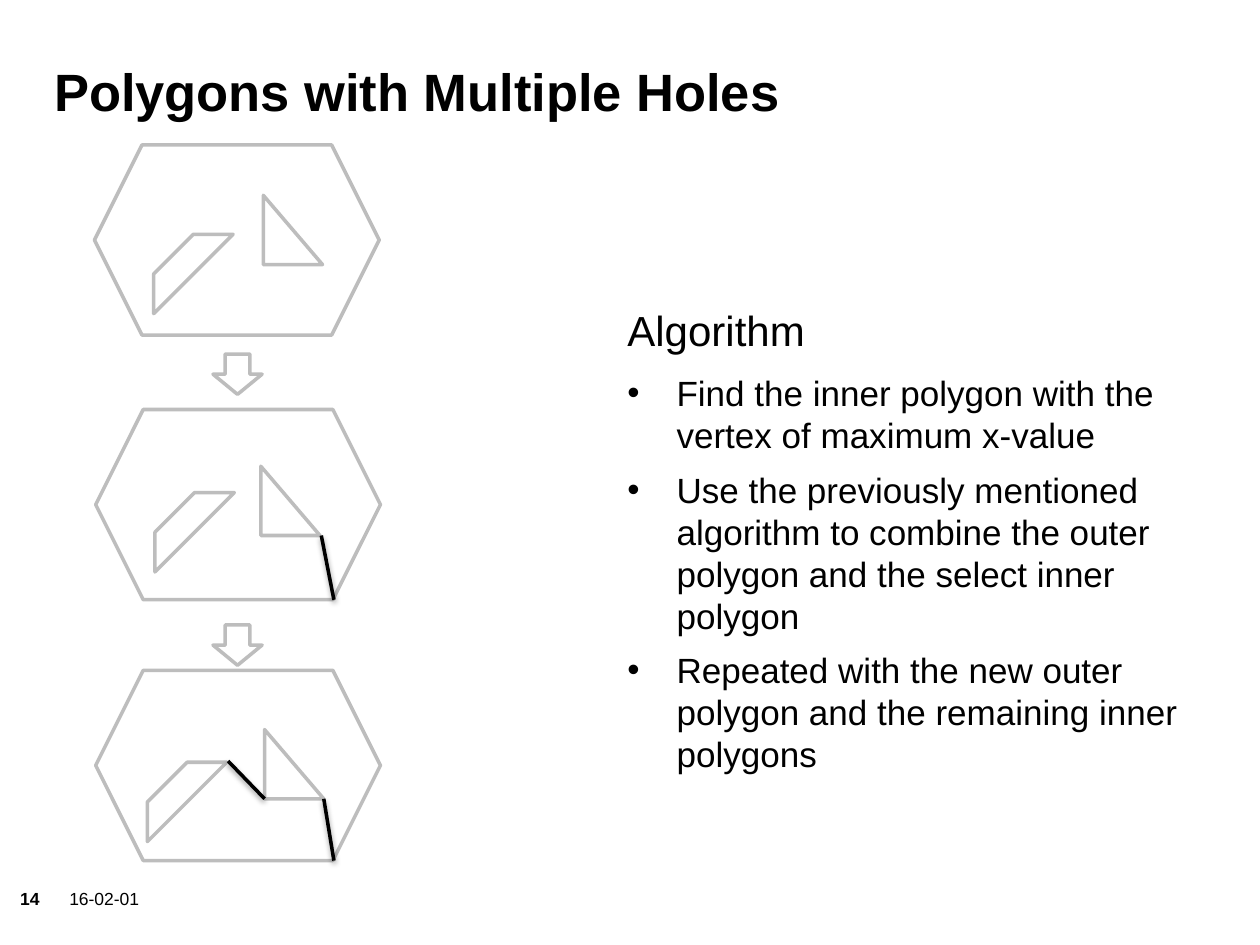
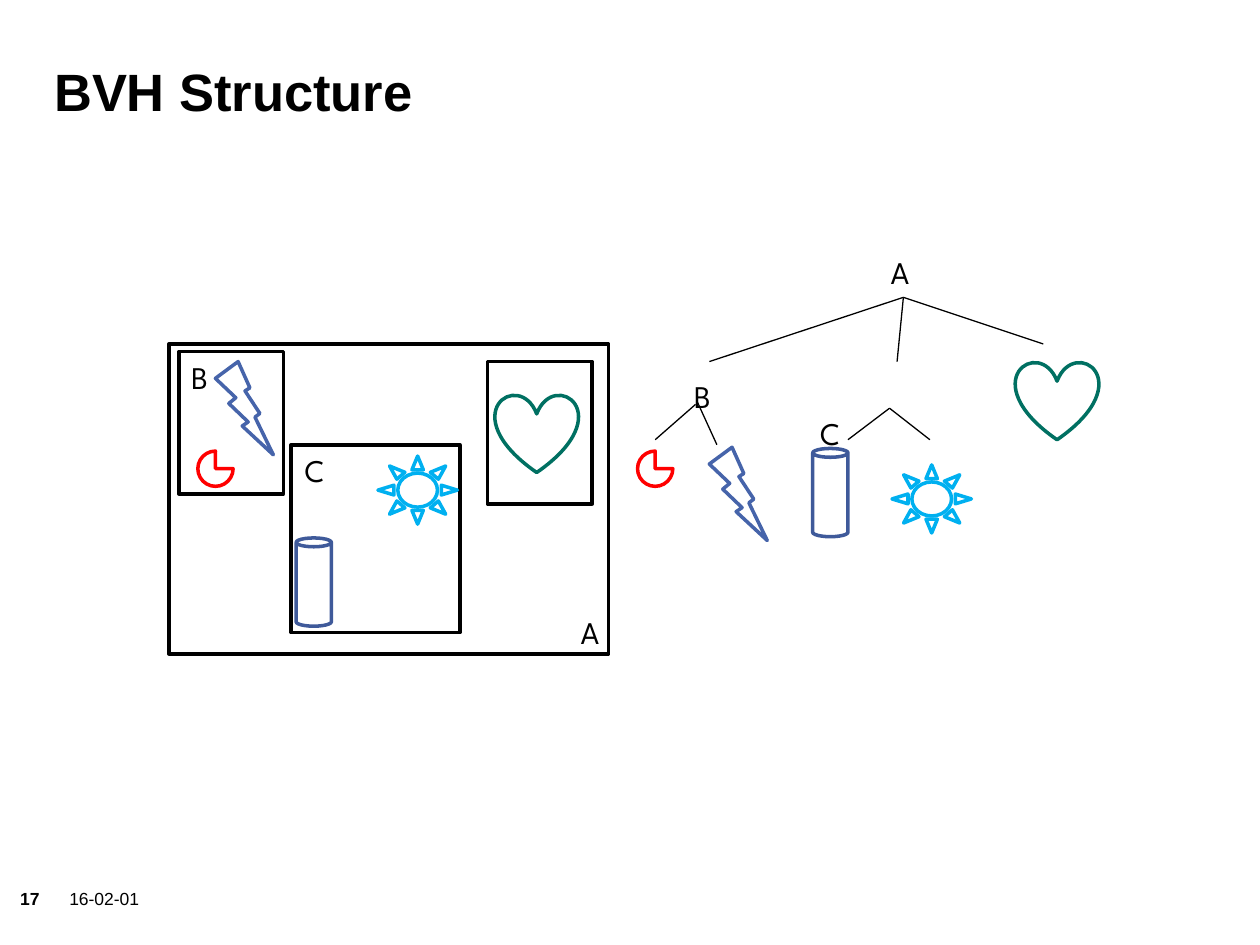
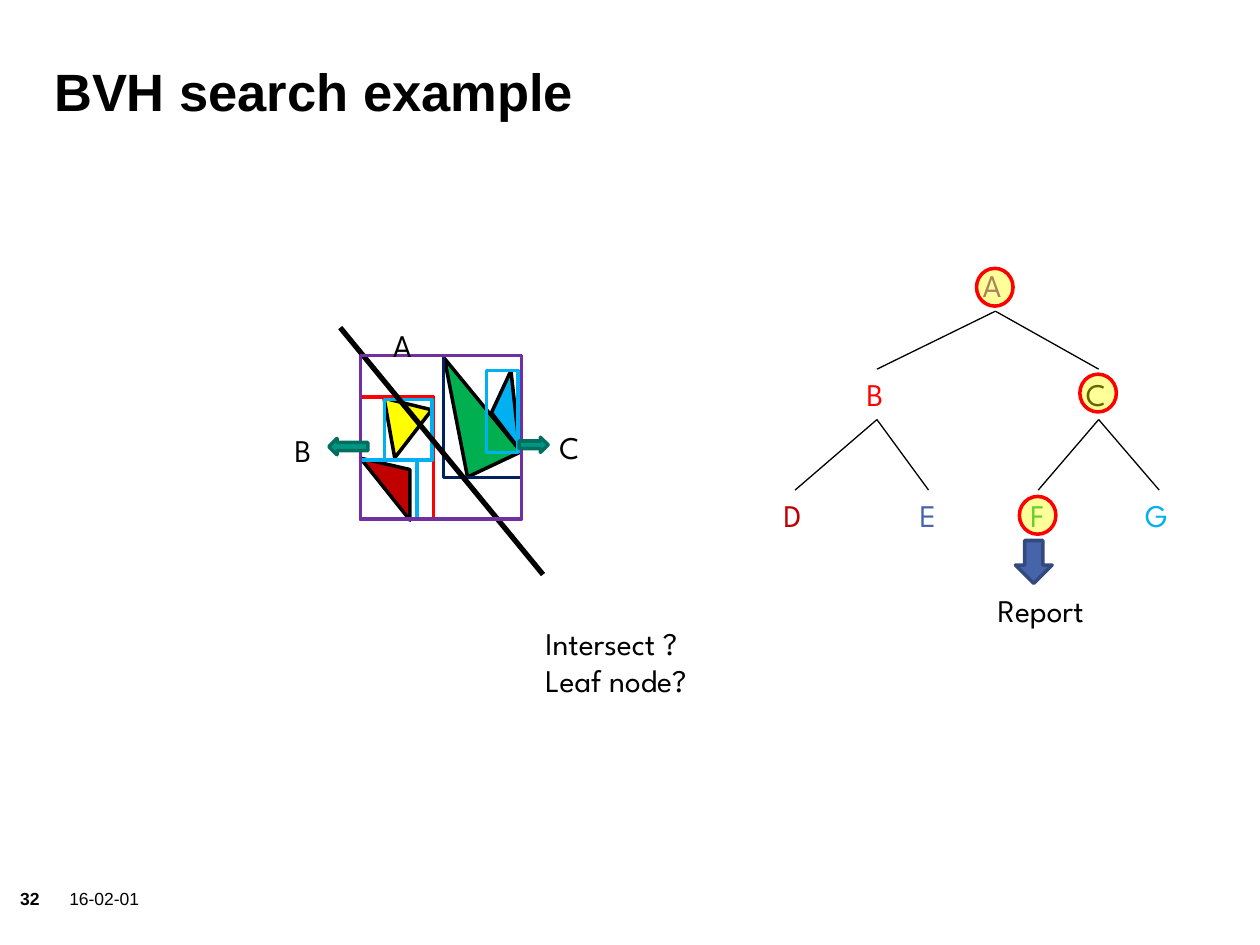
from lxml import etree
from pptx import Presentation
from pptx.dml.color import RGBColor
from pptx.enum.shapes import MSO_CONNECTOR, MSO_SHAPE
from pptx.enum.text import MSO_ANCHOR, MSO_AUTO_SIZE
from pptx.oxml.ns import qn
from pptx.util import Inches, Pt

COLORS = {
    "black": "000000", "white": "FFFFFF", "gray": "BDBDBD", "red": "FF0000",
    "blue": "4664AA", "can blue": "3F5A9A", "dark blue": "344A7E", "navy": "002060",
    "sky": "00B0F0", "heart green": "007062", "teal": "009682", "dark teal": "006F60",
    "green": "00B050", "yellow": "FFFF00", "crimson": "C00000", "purple": "7030A0",
}
TITLE = {"name": "Arial", "size": Pt(30), "bold": True}
NUMBER = {"name": "Arial", "size": Pt(10), "bold": True}
DATE = {"name": "Arial", "size": Pt(10)}
HEADING = {"name": "Arial", "size": Pt(24)}
BODY = {"name": "Arial", "size": Pt(20)}
LABEL = {"name": "League Spartan", "size": Pt(18)}


def write(slide, box, lines, font, color="black", **frame_format):
    frame = slide.shapes.add_textbox(*map(Inches, box)).text_frame
    settings = {"word_wrap": True}
    if font is LABEL:
        settings["auto_size"] = MSO_AUTO_SIZE.SHAPE_TO_FIT_TEXT
    else:
        settings.update(margin_left=0, margin_top=0, margin_right=0, margin_bottom=0)
    for key, value in {**settings, **frame_format}.items():
        setattr(frame, key, value)
    for index, line in enumerate(lines):
        paragraph = frame.add_paragraph() if index else frame.paragraphs[0]
        run = paragraph.add_run()
        run.text = line
        run.font.color.rgb = RGBColor.from_string(COLORS[color])
        for key, value in font.items():
            setattr(run.font, key, value)
    return frame


def draw(slide, kind, box, line, fill=None, turn=0):
    shape = slide.shapes.add_shape(kind, *map(Inches, box))
    shape.shadow.inherit = False
    shape.rotation = turn
    shape.line.width = Pt(2)
    shape.line.color.rgb = RGBColor.from_string(COLORS[line])
    if fill:
        shape.fill.solid()
        shape.fill.fore_color.rgb = RGBColor.from_string(COLORS[fill])
    else:
        shape.fill.background()
    return shape


deck = Presentation()
deck.slide_width, deck.slide_height = Inches(10), Inches(7.5)

slides = []
for number, title in [
    ("14", "Polygons with Multiple Holes"),
    ("17", "BVH Structure"),
    ("32", "BVH search example"),
]:
    slide = deck.slides.add_slide(deck.slide_layouts[6])
    write(slide, (0.16, 7.05, 0.36, 0.24), [number], NUMBER)
    write(slide, (0.55, 7.05, 0.8, 0.39), ["16-02-01"], DATE)
    write(slide, (0.43, 0.36, 7.56, 0.61), [title], TITLE, vertical_anchor=MSO_ANCHOR.BOTTOM)
    slides.append(slide)
holes, structure, search = slides

write(holes, (4.98, 2.19, 3.27, 0.63), ["Algorithm"], HEADING, vertical_anchor=MSO_ANCHOR.BOTTOM)
steps = write(holes, (4.98, 2.95, 4.67, 3.35), [
    "Find the inner polygon with the vertex of maximum x-value",
    "Use the previously mentioned algorithm to combine the outer polygon and the select inner polygon",
    "Repeated with the new outer polygon and the remaining inner polygons",
], BODY)
for step in steps.paragraphs:
    step.space_before = Pt(7)
    properties = step._p.get_or_add_pPr()
    properties.set("marL", str(Inches(0.39)))
    properties.set("indent", str(-Inches(0.39)))
    etree.SubElement(properties, qn("a:buFont")).set("typeface", "Arial")
    etree.SubElement(properties, qn("a:buChar")).set("char", "•")

for outer, stripe, triangle in [
    ((0.75, 1.15), (1.22, 1.86), (2.09, 1.55)),
    ((0.76, 3.25), (1.23, 3.91), (2.07, 3.7)),
    ((0.76, 5.32), (1.17, 6.05), (2.1, 5.79)),
]:
    draw(holes, MSO_SHAPE.HEXAGON, (*outer, 2.26, 1.51), "gray", "white")
    draw(holes, MSO_SHAPE.DIAGONAL_STRIPE, (*stripe, 0.63, 0.63), "gray", "white")
    draw(holes, MSO_SHAPE.RIGHT_TRIANGLE, (*triangle, 0.47, 0.55), "gray", "white")
for top in (2.81, 4.96):
    draw(holes, MSO_SHAPE.DOWN_ARROW, (1.69, top, 0.39, 0.32), "gray", "white")

for volume in [
    (1.34, 2.73, 3.49, 2.46),
    (1.42, 2.79, 0.83, 1.13),
    (2.31, 3.53, 1.34, 1.49),
    (3.87, 2.87, 0.83, 1.13),
]:
    draw(structure, MSO_SHAPE.RECTANGLE, volume, "black")
for kind, size, line, in_scene, in_tree in [
    (MSO_SHAPE.PIE, (0.28, 0.28), "red", (1.57, 3.58), (5.06, 3.58)),
    (MSO_SHAPE.LIGHTNING_BOLT, (0.46, 0.74), "blue", (1.71, 2.87), (5.63, 3.55)),
    (MSO_SHAPE.CAN, (0.28, 0.7), "can blue", (2.35, 4.27), (6.45, 3.56)),
    (MSO_SHAPE.HEART, (0.66, 0.62), "heart green", (3.93, 3.13), (8.06, 2.87)),
    (MSO_SHAPE.SUN, (0.63, 0.54), "sky", (3, 3.62), (7.08, 3.69)),
]:
    for corner in (in_scene, in_tree):
        draw(structure, kind, (*corner, *size), line, "white")
for name, left, top, width in [
    ("B", 1.42, 2.79, 0.35), ("C", 2.32, 3.53, 0.41),
    ("A", 4.51, 4.82, 0.39), ("A", 6.97, 1.96, 0.39),
]:
    write(structure, (left, top, width, 0.4), [name], LABEL, word_wrap=False)
inner_nodes = write(structure, (5.41, 2.94, 1.85, 1.31), ["B", "C"], LABEL,
                    auto_size=MSO_AUTO_SIZE.NONE)
inner_nodes.paragraphs[1]._p.get_or_add_pPr().set("marL", str(Inches(1)))

for box, turn, fill in [
    ((2.84, 3.68, 0.63, 0.25), 51.4, "crimson"),
    ((2.99, 3.2, 0.39, 0.44), 193.8, "yellow"),
    ((3.68, 3.17, 0.63, 0.19), 263.7, "sky"),
    ((3.49, 2.8, 0.47, 0.93), 334.8, "green"),
]:
    draw(search, MSO_SHAPE.FLOWCHART_EXTRACT, box, "black", fill, turn)
for volume, line in [
    ((3.52, 2.82, 0.62, 0.97), "navy"),
    ((2.86, 3.15, 0.58, 0.97), "red"),
    ((3.86, 2.94, 0.25, 0.65), "sky"),
    ((3.05, 3.17, 0.38, 0.48), "sky"),
    ((2.86, 3.65, 0.45, 0.47), "sky"),
]:
    draw(search, MSO_SHAPE.RECTANGLE, volume, line)

for slide, weight, shadowed, start, ends in [
    (holes, 2, True, (2.55, 4.25), [(2.65, 4.76)]),
    (holes, 2, True, (2.57, 6.34), [(2.65, 6.83)]),
    (holes, 2, True, (1.81, 6.04), [(2.1, 6.34)]),
    (structure, 0.75, False, (7.17, 2.36), [(5.63, 2.87), (7.12, 2.87), (8.28, 2.73)]),
    (structure, 0.75, False, (5.52, 3.21), [(5.2, 3.49)]),
    (structure, 0.75, False, (5.53, 3.18), [(5.69, 3.53)]),
    (structure, 0.75, False, (7.06, 3.24), [(6.73, 3.49), (7.38, 3.49)]),
    (search, 3, False, (2.7, 2.6), [(4.31, 4.56)]),
    (search, 0.75, False, (7.9, 2.47), [(6.96, 2.93), (8.72, 2.93)]),
    (search, 0.75, False, (6.96, 3.33), [(6.31, 3.89), (7.37, 3.89)]),
    (search, 0.75, False, (8.72, 3.33), [(8.24, 3.89), (9.2, 3.89)]),
]:
    for end in ends:
        edge = slide.shapes.add_connector(MSO_CONNECTOR.STRAIGHT, *map(Inches, (*start, *end)))
        edge.line.width = Pt(weight)
        edge.line.color.rgb = RGBColor.from_string(COLORS["black"])
        effects = etree.SubElement(edge._element.spPr, qn("a:effectLst"))
        if shadowed:
            shadow = etree.SubElement(effects, qn("a:outerShdw"), blurRad=str(Pt(3.1)),
                                      dist=str(Pt(1.6)), dir="5400000", rotWithShape="0")
            tint = etree.SubElement(shadow, qn("a:srgbClr"), val=COLORS["black"])
            etree.SubElement(tint, qn("a:alpha"), val="38000")

draw(search, MSO_SHAPE.RECTANGLE, (2.86, 2.82, 1.28, 1.3), "purple")
write(search, (3.02, 2.54, 0.32, 0.4), ["A"], LABEL)
for name, left, top, width, color in [
    ("A", 7.7, 2.06, 0.39, "purple"),
    ("B", 6.78, 2.93, 0.35, "red"),
    ("C", 8.52, 2.93, 0.41, "black"),
    ("D", 6.12, 3.89, 0.39, "crimson"),
    ("E", 7.2, 3.89, 0.34, "blue"),
    ("F", 8.08, 3.89, 0.32, "green"),
    ("G", 8.99, 3.89, 0.42, "sky"),
    ("B", 2.24, 3.37, 0.35, "black"),
    ("C", 4.34, 3.35, 0.41, "black"),
    ("Report", 7.82, 4.64, 1.02, "black"),
]:
    write(search, (left, top, width, 0.4), [name], LABEL, color, word_wrap=False)
write(search, (4.23, 4.9, 2.55, 0.71), ["Intersect ?", "Leaf node?"], LABEL)

for kind, box, line, fill in [
    (MSO_SHAPE.LEFT_ARROW, (2.61, 3.48, 0.31, 0.13), "dark teal", "teal"),
    (MSO_SHAPE.RIGHT_ARROW, (4.12, 3.47, 0.23, 0.12), "dark teal", "teal"),
    (MSO_SHAPE.DOWN_ARROW, (8.06, 4.29, 0.29, 0.34), "dark blue", "blue"),
]:
    draw(search, kind, box, line, fill)
for left, top in [(7.75, 2.13), (8.57, 2.97), (8.09, 3.94)]:
    visited = draw(search, MSO_SHAPE.OVAL, (left, top, 0.29, 0.3), "red", "yellow")
    highlight = visited._element.spPr.find(qn("a:solidFill")).find(qn("a:srgbClr"))
    etree.SubElement(highlight, qn("a:alpha"), val="40000")

deck.save("out.pptx")
